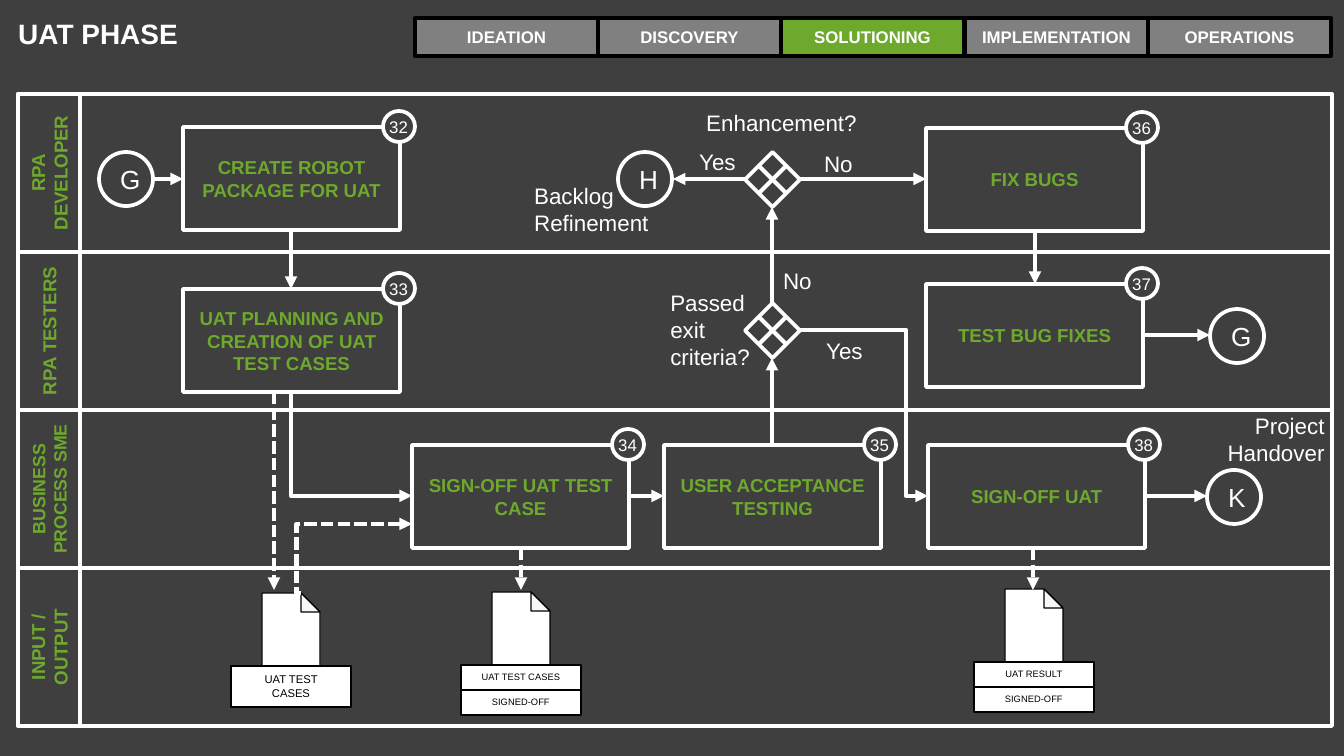
from lxml import etree
from pptx import Presentation
from pptx import util as u
from pptx.dml.color import RGBColor
from pptx.enum import dml, shapes, text
from pptx.oxml import ns

SCALE = 914400 / 134.4
DARK = RGBColor(0x3F, 0x3F, 0x3F)
GRAY = RGBColor(0x80, 0x80, 0x80)
GREEN = RGBColor(0x6E, 0xA9, 0x2D)
WHITE = RGBColor(0xFF, 0xFF, 0xFF)
FOLD = RGBColor(0xF8, 0xF8, 0xF8)
BLACK = RGBColor(0, 0, 0)
KIND = shapes.MSO_SHAPE
ALIGN = text.PP_ALIGN


def px(*lengths):
    return [u.Emu(round(n * SCALE)) for n in lengths]


def write(tf, lines, size, color, bold=False, align=ALIGN.CENTER):
    for i, line in enumerate(lines):
        p = tf.add_paragraph() if i else tf.paragraphs[0]
        p.text = line
        p.alignment = align
        p.font.name = "Arial"
        p.font.size = u.Pt(size)
        p.font.bold = bold
        p.font.color.rgb = color


def style(sp, fill, line, width):
    sp.shadow.inherit = False
    if fill is None:
        sp.fill.background()
    else:
        sp.fill.solid()
        sp.fill.fore_color.rgb = fill
    sp.line.color.rgb = line
    sp.line.width = u.Pt(width)


def shape(s, kind, box, fill=None, line=WHITE, width=2):
    sp = s.shapes.add_shape(kind, *px(*box))
    style(sp, fill, line, width)
    sp.text_frame.word_wrap = True
    return sp


def label(s, box, lines, size=12, align=ALIGN.LEFT):
    tf = s.shapes.add_textbox(*px(*box)).text_frame
    tf.word_wrap = False
    write(tf, lines, size, WHITE, align=align)


def connector(s, kind, ends, arrow=None, dashed=False):
    c = s.shapes.add_connector(kind, *px(*ends))
    c.line.color.rgb = WHITE
    c.line.width = u.Pt(2.25)
    if dashed:
        c.line.dash_style = dml.MSO_LINE.SQUARE_DOT
    if arrow:
        ln = c.line._get_or_add_ln()
        etree.SubElement(ln, ns.qn(arrow)).set("type", "triangle")
    etree.SubElement(c._element.spPr, ns.qn("a:effectLst"))
    return c


def straight(s, *ends, dashed=False):
    connector(s, shapes.MSO_CONNECTOR.STRAIGHT, ends, "a:tailEnd", dashed)


def elbow(s, tip, source, bend, dashed=False):
    c = connector(s, shapes.MSO_CONNECTOR.ELBOW, tip + source, "a:headEnd", dashed)
    geom = c._element.spPr.find(ns.qn("a:prstGeom"))
    av = geom.find(ns.qn("a:avLst"))
    gd = etree.SubElement(av, ns.qn("a:gd"))
    gd.set("name", "adj1")
    gd.set("fmla", f"val {round(bend * 100000)}")


def title(s, x, y, w, h):
    tf = s.shapes.add_textbox(*px(x, y, w, h)).text_frame
    tf.word_wrap = True
    tf.margin_left = tf.margin_right = tf.margin_top = tf.margin_bottom = u.Inches(0.1)
    write(tf, ["UAT PHASE"], 15, WHITE, True, ALIGN.LEFT)


def phase_bar(s, x, y, w, h, phases, current):
    for i, phase in enumerate(phases):
        fill = GREEN if phase == current else GRAY
        sp = shape(s, KIND.RECTANGLE, (x + w * i // 5, y, w // 5, h), fill, BLACK)
        write(sp.text_frame, [phase], 9, WHITE, True)


def lane(s, x, y, w, h, name, size):
    head = 62
    shape(s, KIND.RECTANGLE, (x, y, w, h))
    sp = shape(s, KIND.RECTANGLE, (x + (head - h) // 2, y + (h - head) // 2, h, head))
    sp.rotation = 270
    write(sp.text_frame, [name], size, GREEN, True)


def step(s, x, y, number, name):
    sp = shape(s, KIND.RECTANGLE, (x, y, 217, 103))
    write(sp.text_frame, [name], 10, GREEN, True)
    shape(s, KIND.OVAL, (x + 200, y - 16, 32, 31), DARK)
    label(s, (x + 193, y - 17, 46, 33), [str(number)], 9)


def terminal(s, x, y, letter):
    sp = shape(s, KIND.OVAL, (x, y, 54, 54))
    write(sp.text_frame, [letter], 14, WHITE)


def gateway(s, x, y):
    shape(s, KIND.FLOWCHART_DECISION, (x, y, 55, 55))
    for top, bottom in ((13, 42), (42, 13)):
        connector(s, shapes.MSO_CONNECTOR.STRAIGHT,
                  (x + 13, y + top, x + 42, y + bottom))


def outline(s, points, fill):
    fb = s.shapes.build_freeform(*points[0], scale=SCALE)
    fb.add_line_segments(points[1:], close=True)
    style(fb.convert_to_shape(), fill, BLACK, 0.63)


def document(s, x, y, tags, tag_h, size):
    left, fold, right = x + 31, x + 70, x + 89
    outline(s, [(fold, y), (left, y), (left, y + 77), (right, y + 77), (right, y + 19)], WHITE)
    outline(s, [(fold, y + 19), (right, y + 19), (fold, y)], FOLD)
    for i, tag in enumerate(tags):
        box = (x, y + 73 + i * tag_h, 120, tag_h)
        sp = shape(s, KIND.RECTANGLE, box, WHITE, BLACK, 0.75)
        sp.text_frame.vertical_anchor = text.MSO_ANCHOR.TOP
        write(sp.text_frame, [tag], size, BLACK)


def flow(s):
    for step_args in (
        (183, 127, 32, "CREATE ROBOT PACKAGE FOR UAT"),
        (183, 289, 33, "UAT PLANNING AND CREATION OF UAT TEST CASES"),
        (412, 445, 34, "SIGN-OFF UAT TEST CASE"),
        (664, 445, 35, "USER ACCEPTANCE TESTING"),
        (926, 128, 36, "FIX BUGS"),
        (926, 284, 37, "TEST BUG FIXES"),
        (928, 445, 38, "SIGN-OFF UAT"),
    ):
        step(s, *step_args)
    for x, y, letter in ((99, 152, "G"), (618, 152, "H"), (1210, 309, "G"), (1207, 470, "K")):
        terminal(s, x, y, letter)
    for y in (152, 303):
        gateway(s, 745, y)
    document(s, 231, 593, ["UAT TEST CASES"], 41, 6)
    document(s, 461, 592, ["UAT TEST CASES", "SIGNED-OFF"], 25, 5)
    document(s, 974, 589, ["UAT RESULT", "SIGNED-OFF"], 25, 5)

    for ends in (
        (154, 179, 183, 179), (745, 179, 673, 179), (800, 179, 926, 179),
        (291, 230, 291, 289), (772, 303, 772, 207), (772, 445, 772, 358),
        (1035, 231, 1035, 284), (1143, 335, 1210, 335),
        (629, 496, 664, 496), (1145, 496, 1207, 496),
    ):
        straight(s, *ends)
    for x, y in ((274, 391), (521, 548), (1033, 548)):
        straight(s, x, y, x, 590, dashed=True)
    elbow(s, (412, 496), (291, 391), 1)
    elbow(s, (412, 524), (301, 593), 1.04, dashed=True)
    elbow(s, (928, 496), (800, 330), 0.17)

    label(s, (657, 283, 108, 95), ["Passed", "exit", "criteria?"])
    label(s, (521, 176, 142, 67), ["Backlog", "Refinement"])
    label(s, (693, 103, 179, 40), ["Enhancement?"])
    for x, y, w, answer in ((769, 261, 56, "No"), (810, 331, 66, "Yes"),
                            (810, 144, 56, "No"), (683, 142, 66, "Yes")):
        label(s, (x, y, w, 40), [answer], align=ALIGN.RIGHT)
    label(s, (1213, 406, 125, 67), ["Project", "Handover"], align=ALIGN.RIGHT)


def main():
    prs = Presentation()
    prs.slide_width, prs.slide_height = px(1344, 756)
    s = prs.slides.add_slide(prs.slide_layouts[6])
    s.background.fill.solid()
    s.background.fill.fore_color.rgb = DARK
    title(s, 5, 3, 431, 85)
    phases = ["IDEATION", "DISCOVERY", "SOLUTIONING", "IMPLEMENTATION", "OPERATIONS"]
    phase_bar(s, 415, 18, 917, 38, phases, "SOLUTIONING")
    lanes = [("RPA DEVELOPER", 10), ("RPA TESTERS", 10),
             ("BUSINESS PROCESS SME", 9.5), ("INPUT / OUTPUT", 10)]
    for i, (name, size) in enumerate(lanes):
        lane(s, 18, 94 + 158 * i, 1314, 158, name, size)
    flow(s)
    prs.save("out.pptx")


if __name__ == "__main__":
    main()
